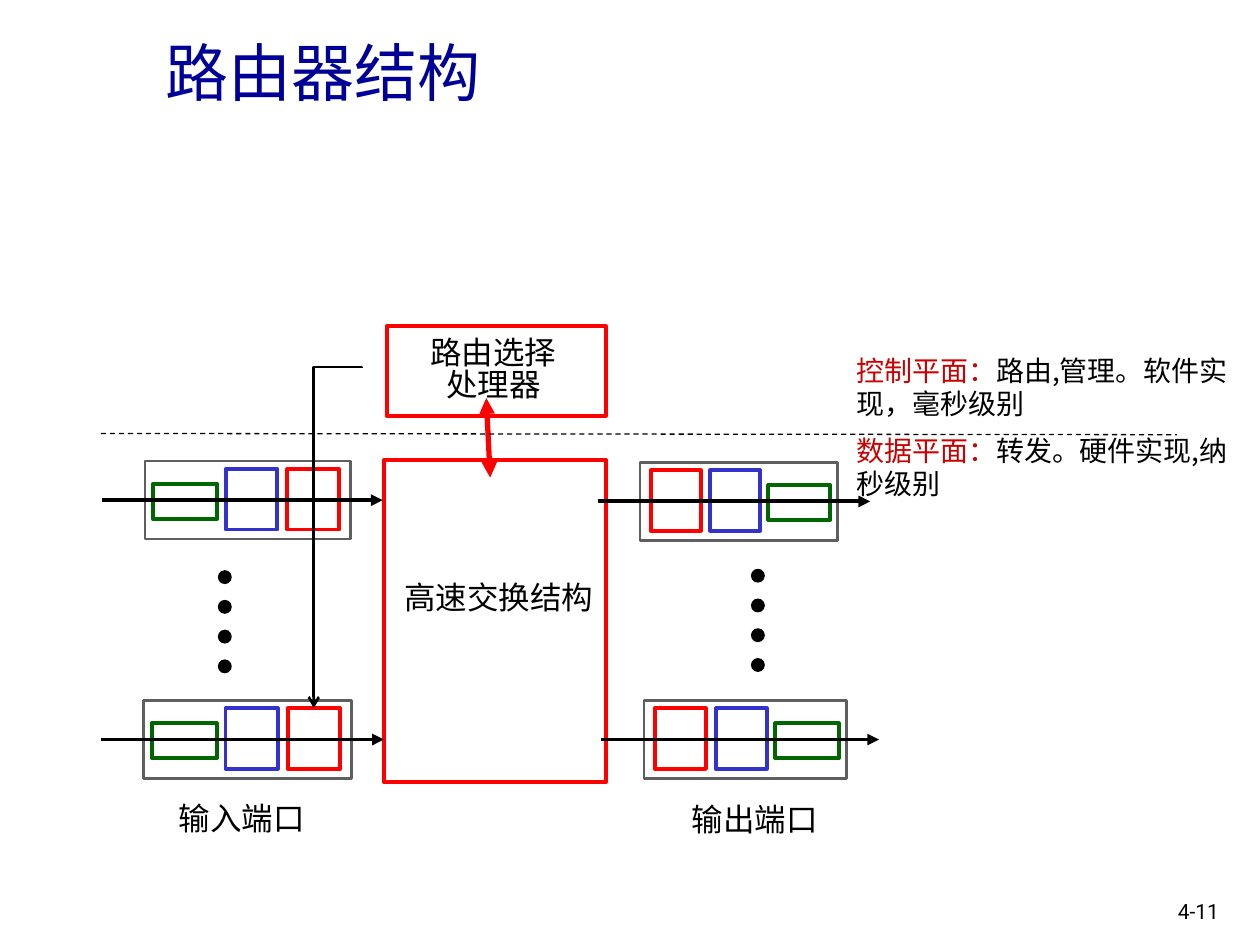
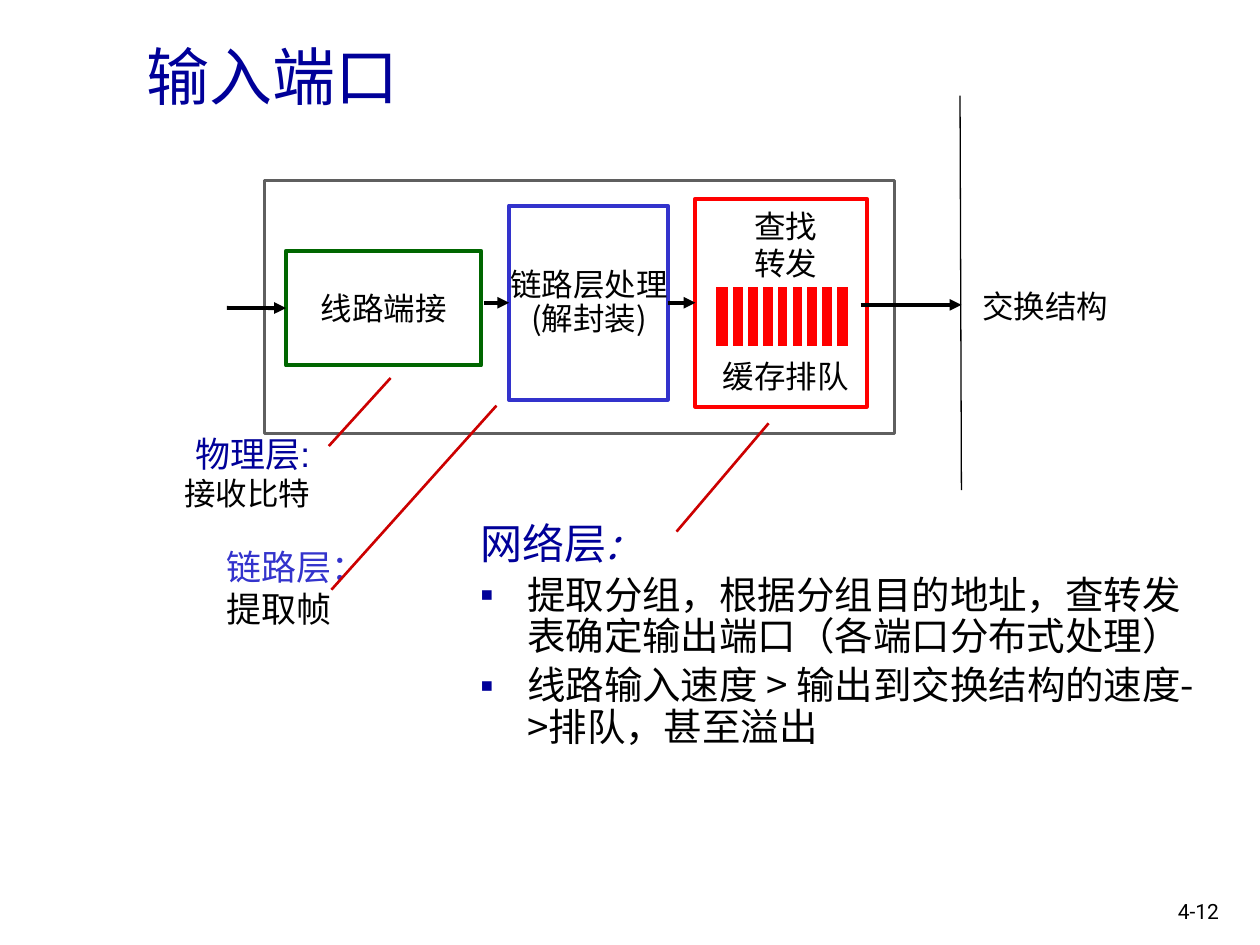
"""Build two slides on router architecture and input ports."""
from dataclasses import dataclass
from typing import NamedTuple

from lxml import etree
from pptx import Presentation
from pptx import util as u
from pptx.dml.color import RGBColor
from pptx.enum import dml, shapes, text
from pptx.oxml.ns import qn

BLACK = RGBColor(0x00, 0x00, 0x00)
WHITE = RGBColor(0xFF, 0xFF, 0xFF)
GRAY = RGBColor(0x5F, 0x5F, 0x5F)
RED = RGBColor(0xFF, 0x00, 0x00)
DARK_RED = RGBColor(0xCC, 0x00, 0x00)
GREEN = RGBColor(0x00, 0x66, 0x00)
BLUE = RGBColor(0x33, 0x33, 0xCC)
NAVY = RGBColor(0x00, 0x00, 0x99)
ARIAL, CJK, ROBOTO = "Arial", "Noto Sans CJK SC", "Roboto"
LEFT, CENTER, RIGHT = text.PP_ALIGN.LEFT, text.PP_ALIGN.CENTER, text.PP_ALIGN.RIGHT
RECTANGLE, OVAL = shapes.MSO_SHAPE.RECTANGLE, shapes.MSO_SHAPE.OVAL
PORT_WIDTH, PORT_HEIGHT = 117.4, 44.6


class Frame(NamedTuple):
    left: float
    top: float
    width: float
    height: float

    def points(self) -> list:
        return [u.Pt(value) for value in self]


class Line(NamedTuple):
    text: str
    color: RGBColor = BLACK
    size: float = 18
    before: float = 0
    remainder: str = ""


@dataclass
class Label:
    frame: Frame
    lines: list
    font: str = ARIAL
    align: text.PP_ALIGN = CENTER
    spacing: float = 1.0
    wrap: bool = False


class Stage(NamedTuple):
    offset: float
    top: float
    width: float
    height: float
    color: RGBColor


@dataclass
class Port:
    left: float
    top: float
    width: float
    mirrored: bool = False


class Stroke(NamedTuple):
    start: tuple
    end: tuple
    color: RGBColor = BLACK
    width: float = 2.25
    head: str = ""
    tail: str = ""
    dashed: bool = False


STAGES = [
    Stage(4.5, 13, 36.8, 20, GREEN),
    Stage(46.2, 4.5, 29.5, 34.6, BLUE),
    Stage(81.4, 4.5, 29.7, 34.6, RED),
]


def write_lines(text_frame, label: Label) -> None:
    text_frame.word_wrap = label.wrap
    for index, line in enumerate(label.lines):
        paragraph = text_frame.paragraphs[0] if index == 0 else text_frame.add_paragraph()
        paragraph.alignment = label.align
        paragraph.line_spacing = label.spacing
        paragraph.space_before = u.Pt(line.before)
        paragraph.font.name = label.font
        paragraph.font.size = u.Pt(line.size)
        paragraph.font.color.rgb = BLACK if line.remainder else line.color
        run = paragraph.add_run()
        run.text = line.text
        if line.remainder:
            run.font.color.rgb = line.color
            paragraph.add_run().text = line.remainder


def add_label(slide, label: Label) -> None:
    write_lines(slide.shapes.add_textbox(*label.frame.points()).text_frame, label)


def add_box(slide, frame: Frame, line_color=None, width: float = 2.25,
            fill: RGBColor = WHITE, kind=RECTANGLE):
    shape = slide.shapes.add_shape(kind, *frame.points())
    shape.shadow.inherit = False
    shape.fill.solid()
    shape.fill.fore_color.rgb = fill
    if line_color is None:
        shape.line.fill.background()
    else:
        shape.line.color.rgb = line_color
        shape.line.width = u.Pt(width)
    return shape


def add_text_box(slide, label: Label, line_color=None):
    shape = add_box(slide, label.frame, line_color)
    write_lines(shape.text_frame, label)
    return shape


def add_stroke(slide, stroke: Stroke, kind=shapes.MSO_CONNECTOR.STRAIGHT):
    ends = [u.Pt(value) for value in (*stroke.start, *stroke.end)]
    connector = slide.shapes.add_connector(kind, *ends)
    connector.line.color.rgb = stroke.color
    connector.line.width = u.Pt(stroke.width)
    if stroke.dashed:
        connector.line.dash_style = dml.MSO_LINE.DASH
    properties = connector._element.spPr
    outline = properties.find(qn("a:ln"))
    for tag, arrow in (("a:headEnd", stroke.head), ("a:tailEnd", stroke.tail)):
        if arrow:
            etree.SubElement(outline, qn(tag), type=arrow)
    etree.SubElement(properties, qn("a:effectLst"))
    return connector


def add_turning_arrow(slide, stroke: Stroke) -> None:
    (start_x, start_y), (end_x, end_y) = stroke.start, stroke.end
    center_x, center_y = (start_x + end_x) / 2, (start_y + end_y) / 2
    half_length, half_breadth = (end_y - start_y) / 2, (start_x - end_x) / 2
    unrotated = stroke._replace(
        start=(center_x - half_length, center_y - half_breadth),
        end=(center_x + half_length, center_y + half_breadth))
    connector = add_stroke(slide, unrotated, shapes.MSO_CONNECTOR.ELBOW)
    properties = connector._element.spPr
    properties.find(qn("a:xfrm")).set("rot", "5400000")
    adjustments = properties.find(qn("a:prstGeom")).find(qn("a:avLst"))
    etree.SubElement(adjustments, qn("a:gd"), name="adj1", fmla="val -100")


def add_port(slide, port: Port) -> None:
    add_box(slide, Frame(port.left, port.top, port.width, PORT_HEIGHT), GRAY, 1.5)
    scale = port.width / PORT_WIDTH
    for stage in STAGES:
        offset, width = stage.offset * scale, stage.width * scale
        if port.mirrored:
            offset = port.width - offset - width
        frame = Frame(port.left + offset, port.top + stage.top, width, stage.height)
        add_box(slide, frame, stage.color)
    middle = port.top + PORT_HEIGHT / 2
    add_stroke(slide, Stroke((port.left - 24.3, middle),
                             (port.left + port.width + 18.5, middle), tail="triangle"))


def add_dots(slide, left: float, top: float) -> None:
    for index in range(4):
        add_box(slide, Frame(left, top + 17 * index, 7.2, 7.2), BLACK, 0.75, BLACK, OVAL)


def add_slide(presentation, layout: int, title: str, left: float, top: float, number: str):
    slide = presentation.slides.add_slide(presentation.slide_layouts[layout])
    frame = Frame(left, top, 612, 48.2)
    place(slide.shapes.title, frame)
    slide.shapes.title.text_frame.vertical_anchor = text.MSO_ANCHOR.MIDDLE
    write_lines(slide.shapes.title.text_frame,
                Label(frame, [Line(title, NAVY, 36)], CJK, LEFT, wrap=True))
    add_label(slide, Label(Frame(666, 509.8, 44, 21.6), [Line(number, size=12)],
                           ROBOTO, LEFT, wrap=True))
    return slide


def place(placeholder, frame: Frame) -> None:
    placeholder.left, placeholder.top, placeholder.width, placeholder.height = frame.points()
    placeholder.text_frame.auto_size = text.MSO_AUTO_SIZE.NONE


def build_router_slide(presentation) -> None:
    slide = add_slide(presentation, 5, "路由器结构", 87.1, 16.6, "4-11")
    add_box(slide, Frame(219.6, 262.8, 126.7, 184.3), RED)
    add_label(slide, Label(Frame(223.2, 329.8, 123.8, 25.9), [Line("高速交换结构")],
                           spacing=0.85))
    add_box(slide, Frame(221, 186.5, 125.3, 51.1), RED)
    add_label(slide, Label(Frame(238.3, 190.1, 87.1, 44.6),
                           [Line("路由选择"), Line("处理器")], CJK, spacing=0.85))
    add_stroke(slide, Stroke((277.9, 227.5), (280.1, 272.9), RED, 3, "triangle", "triangle"))
    for port in (Port(82.8, 263.5, 117.4), Port(82.1, 400.3, 118.8),
                 Port(365.8, 264.2, 113), Port(367.9, 400.3, 115.9)):
        port.mirrored = port.left > 300
        add_port(slide, port)
    add_dots(slide, 124.9, 326.2)
    add_dots(slide, 429.5, 325.4)
    for left, top, caption in ((95, 452.9, "输入端口"), (388.1, 453.6, "输出端口")):
        add_label(slide, Label(Frame(left, top, 87.1, 28.8), [Line(caption)], align=LEFT))
    add_stroke(slide, Stroke((57.6, 247.7), (672.5, 248.4), width=0.75, dashed=True))
    for top, width, plane, duty in (
            (244.1, 239, "数据平面：", "转发。硬件实现,纳秒级别"),
            (198.4, 241.9, "控制平面：", "路由,管理。软件实现，毫秒级别")):
        add_label(slide, Label(Frame(482.4, top, width, 46.1),
                               [Line(plane, DARK_RED, 16, remainder=duty)],
                               CJK, LEFT, wrap=True))
    add_turning_arrow(slide, Stroke((206.6, 209.9), (179.3, 404.6), width=1.5, tail="arrow"))


def write_network_layer(body) -> None:
    place(body, Frame(267.1, 295.2, 429.8, 210.2))
    text_frame = body.text_frame
    heading = text_frame.paragraphs[0]
    etree.SubElement(heading._p.get_or_add_pPr(), qn("a:buNone"))
    heading.space_before = u.Pt(0)
    heading.line_spacing = 0.9
    heading.font.name, heading.font.size = CJK, u.Pt(24)
    heading.font.color.rgb = NAVY
    heading.add_run().text = "网络层"
    colon = heading.add_run()
    colon.text = ":"
    colon.font.italic = True
    for sentence in ("提取分组，根据分组目的地址，查转发表确定输出端口（各端口分布式处理）",
                     "线路输入速度 > 输出到交换结构的速度->排队，甚至溢出"):
        paragraph = text_frame.add_paragraph()
        properties = paragraph._p.get_or_add_pPr()
        bullet_color = etree.SubElement(properties, qn("a:buClr"))
        etree.SubElement(bullet_color, qn("a:srgbClr"), val=str(NAVY))
        etree.SubElement(properties, qn("a:buChar"), char="▪")
        paragraph.space_before = u.Pt(4.4)
        paragraph.line_spacing = 0.9
        paragraph.font.name, paragraph.font.size = CJK, u.Pt(22)
        paragraph.font.color.rgb = BLACK
        paragraph.add_run().text = sentence


def build_input_port_slide(presentation) -> None:
    slide = add_slide(presentation, 1, "输入端口", 76.3, 18.7, "4-12")
    add_box(slide, Frame(151.2, 103, 360, 144.7), GRAY, 1.5)
    termination = add_text_box(
        slide, Label(Frame(163.4, 143.3, 111.6, 65.5), [Line("线路端接")]), GREEN)
    link = add_box(slide, Frame(290.9, 117.5, 90.7, 111), BLUE)
    lookup = add_box(slide, Frame(397.4, 113.5, 97.9, 119), RED)

    arrival = add_stroke(slide, Stroke((129.6, 176), (163.4, 176), tail="triangle"))
    arrival.end_connect(termination, 1)
    decapsulation = add_stroke(slide, Stroke((276.5, 173), (290.9, 173), tail="triangle"))
    decapsulation.end_connect(link, 1)
    handover = add_stroke(slide, Stroke((381.6, 173), (397.4, 173), tail="triangle"))
    handover.begin_connect(link, 3)
    handover.end_connect(lookup, 1)

    add_text_box(slide, Label(Frame(295.2, 140.4, 82.8, 65.5),
                              [Line("链路层处理"), Line("(解封装)")], CJK, spacing=0.9))
    add_label(slide, Label(Frame(405.4, 114.5, 87.1, 116.6),
                           [Line("查找"), Line("转发"), Line("缓存排队", before=43)]))
    write_network_layer(slide.placeholders[1])
    add_label(slide, Label(Frame(97.2, 243.4, 87.1, 53.3),
                           [Line("物理层:", NAVY, 20), Line("接收比特")], align=RIGHT))
    add_label(slide, Label(Frame(111.6, 308.2, 85, 55.4),
                           [Line("链路层：", BLUE, 20), Line("提取帧", size=20)],
                           align=RIGHT, wrap=True))
    add_stroke(slide, Stroke((548.6, 54.7), (549.4, 280.1), width=0.75))
    add_text_box(slide, Label(Frame(555.8, 143.3, 82.8, 65.5), [Line("交换结构")], spacing=0.9))

    add_box(slide, Frame(407.5, 162.7, 78.5, 36.7), WHITE, 3, RED)
    for index in range(8):
        gap = 417.6 + 8.45 * index
        add_stroke(slide, Stroke((gap, 163.4), (gap, 198.7), WHITE, 3))
    add_stroke(slide, Stroke((491.8, 174.2), (549.4, 174.2), tail="triangle"))
    for start, end in (((187.9, 254.9), (223.2, 216)),
                       ((189.4, 337), (283.7, 231.8)),
                       ((386.6, 303.8), (439.2, 241.9))):
        add_stroke(slide, Stroke(start, end, DARK_RED, 1.5))


def main() -> None:
    presentation = Presentation()
    presentation.slide_width, presentation.slide_height = u.Pt(720), u.Pt(540)
    build_router_slide(presentation)
    build_input_port_slide(presentation)
    presentation.save("out.pptx")


if __name__ == "__main__":
    main()
